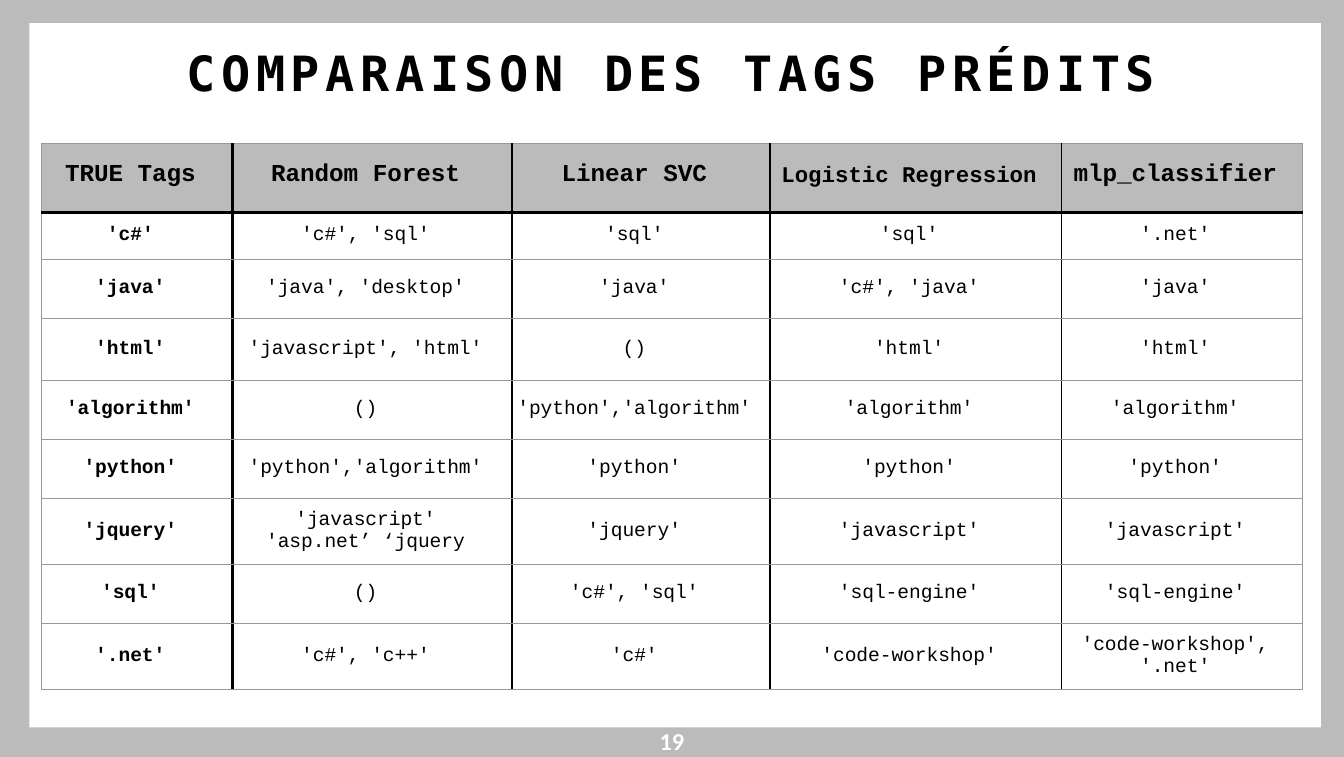
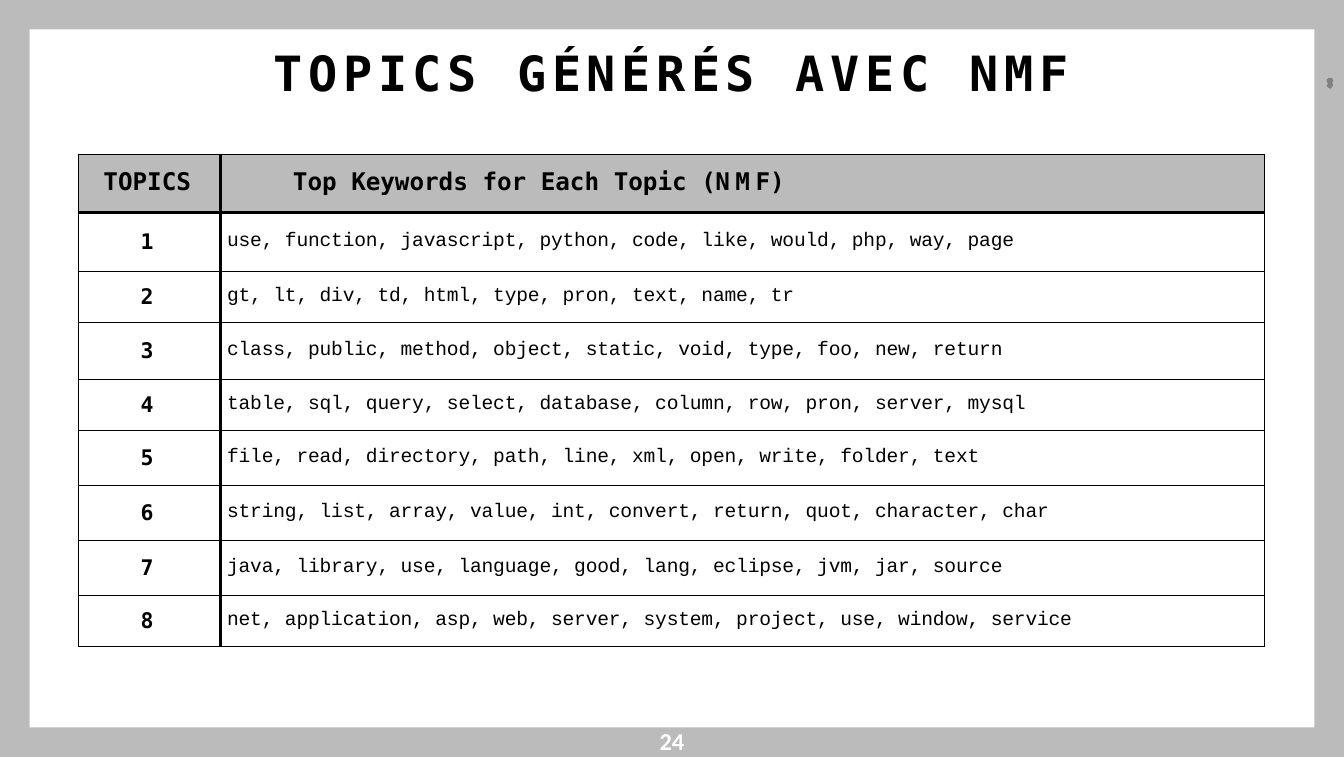
import pptx
import pptx.util
import pptx.dml.color
import pptx.enum.text
import pptx.oxml
import pptx.oxml.ns

Inches, Pt = pptx.util.Inches, pptx.util.Pt
RGB = pptx.dml.color.RGBColor.from_string
ALIGN = pptx.enum.text.PP_ALIGN
MIDDLE = pptx.enum.text.MSO_ANCHOR.MIDDLE

COLORS = {"band": "BBBBBB", "black": "000000", "white": "FFFFFF",
          "grid": "999999", "dots": "808080"}
MONO, COURIER, SANS = "DejaVu Sans Mono", "Courier New", "Calibri"
W, H = 10, 5.63
BAND = (0.22, 0.17, 9.83, 5.41)
INNER_BAND = (0.22, 0.22, 9.78, 5.43)
DOTS = [(9.92, 0.6), (9.91, 0.58), (9.89, 0.58), (9.87, 0.59), (9.87, 0.6),
        (9.88, 0.62), (9.87, 0.64), (9.88, 0.65), (9.9, 0.66), (9.91, 0.65),
        (9.92, 0.63), (9.91, 0.62)]

TAGS_TITLE = "COMPARAISON DES TAGS PRÉDITS"
TAGS = [
    ["TRUE Tags", "Random Forest", "Linear SVC", "Logistic Regression", "mlp_classifier"],
    ["'c#'", "'c#', 'sql'", "'sql'", "'sql'", "'.net'"],
    ["'java'", "'java', 'desktop'", "'java'", "'c#', 'java'", "'java'"],
    ["'html'", "'javascript', 'html'", "()", "'html'", "'html'"],
    ["'algorithm'", "()", "'python','algorithm'", "'algorithm'", "'algorithm'"],
    ["'python'", "'python','algorithm'", "'python'", "'python'", "'python'"],
    ["'jquery'", "'javascript'\n'asp.net’ ‘jquery", "'jquery'", "'javascript'", "'javascript'"],
    ["'sql'", "()", "'c#', 'sql'", "'sql-engine'", "'sql-engine'"],
    ["'.net'", "'c#', 'c++'", "'c#'", "'code-workshop'", "'code-workshop',\n'.net'"],
]
TAG_COLS = [1.42, 2.08, 1.92, 2.17, 1.79]
TAG_ROWS = [0.51, 0.35, 0.44, 0.46, 0.44, 0.44, 0.49, 0.44, 0.49]

TOPICS_TITLE = "TOPICS GÉNÉRÉS AVEC NMF"
KEYWORDS = [
    "use, function, javascript, python, code, like, would, php, way, page",
    "gt, lt, div, td, html, type, pron, text, name, tr",
    "class, public, method, object, static, void, type, foo, new, return",
    "table, sql, query, select, database, column, row, pron, server, mysql",
    "file, read, directory, path, line, xml, open, write, folder, text",
    "string, list, array, value, int, convert, return, quot, character, char",
    "java, library, use, language, good, lang, eclipse, jvm, jar, source",
    "net, application, asp, web, server, system, project, use, window, service",
]
TOPICS = [["TOPICS", [("Top Keywords for Each Topic (", 0), ("NM", 3), ("F)", 0)]]]
TOPICS += [[str(n), words] for n, words in enumerate(KEYWORDS, 1)]
TOPIC_COLS = [1.06, 7.77]
TOPIC_ROWS = [0.43, 0.44, 0.38, 0.42, 0.38, 0.41, 0.41, 0.41, 0.38]


def write(tf, text, size=10.5, font=COURIER, color="black", bold=False,
          align=ALIGN.CENTER, spacing=None, spc=0):
    lines = [[(t, spc)] for t in text.split("\n")] if isinstance(text, str) else [text]
    for i, runs in enumerate(lines):
        p = tf.add_paragraph() if i else tf.paragraphs[0]
        p.alignment = align
        if spacing:
            p.line_spacing = Pt(spacing)
        for part, gap in runs:
            r = p.add_run()
            r.text = part
            r.font.size, r.font.name, r.font.bold = Pt(size), font, bold
            r.font.color.rgb = RGB(COLORS[color])
            if gap:
                r.font._element.set("spc", str(round(gap * 100)))


def add_label(slide, text, left, top, width, height, margin_top=0, **fmt):
    tf = slide.shapes.add_textbox(*map(Inches, (left, top, width, height))).text_frame
    tf.word_wrap = True
    tf.margin_left = tf.margin_right = tf.margin_bottom = 0
    tf.margin_top = Inches(margin_top)
    write(tf, text, **fmt)


def add_outline(slide, points, color):
    pts = [(Inches(x), Inches(y)) for x, y in points]
    fb = slide.shapes.build_freeform(*pts[0], scale=1.0)
    fb.add_line_segments(pts[1:], close=True)
    sp = fb.convert_to_shape()
    sp.shadow.inherit = False
    sp.fill.solid()
    sp.fill.fore_color.rgb = RGB(COLORS[color])
    sp.line.fill.background()


def add_frame(slide, l, t, r, b):
    add_outline(slide, [(0, 0), (W, 0), (W, H), (0, H), (0, 0),
                        (l, t), (l, b), (r, b), (r, t), (l, t)], "band")


def set_borders(cell, **sides):
    tcPr = cell._tc.get_or_add_tcPr()
    for side in "LRTB":
        color, width = sides[side]
        tcPr.append(pptx.oxml.parse_xml(
            f'<a:ln{side} {pptx.oxml.ns.nsdecls("a")} w="{Pt(width)}"><a:solidFill>'
            f'<a:srgbClr val="{COLORS[color]}"/></a:solidFill></a:ln{side}>'))


def add_grid(slide, left, top, cols, rows, data, thin, style):
    heavy, inner = ("black", 2.25), ("black", 0.75)
    across = [thin, heavy] + [thin] * (len(rows) - 1)
    down = [thin, heavy] + [inner] * (len(cols) - 2) + [thin]
    table = slide.shapes.add_table(
        len(rows), len(cols), *map(Inches, (left, top, sum(cols), sum(rows)))).table
    table.first_row = table.horz_banding = False
    for col, width in zip(table.columns, cols):
        col.width = Inches(width)
    for row, height in zip(table.rows, rows):
        row.height = Inches(height)
    for i, line in enumerate(data):
        for j, text in enumerate(line):
            cell = table.cell(i, j)
            fmt = style(i, j)
            cell.margin_top = cell.margin_bottom = 0
            cell.margin_left = Inches(fmt.pop("indent", 0))
            cell.margin_right = Inches(fmt.pop("right", 0))
            cell.vertical_anchor = MIDDLE
            set_borders(cell, L=down[j], R=down[j + 1], T=across[i], B=across[i + 1])
            if i == 0:
                cell.fill.solid()
                cell.fill.fore_color.rgb = RGB(COLORS["band"])
            else:
                cell.fill.background()
            write(cell.text_frame, text, **fmt)


def tag_style(i, j):
    size = 10.5 if i else 12 if j == 3 else 13
    return dict(size=size, bold=i == 0 or j == 0, spacing=11.4, right=0.1)


def topic_style(i, j):
    if i and j:
        return dict(align=ALIGN.LEFT, spacing=11.4, spc=-0.05, indent=0.05)
    fmt = dict(size=11.5 if i else 13, font=MONO, bold=True, spacing=13.6)
    return fmt | (dict(align=ALIGN.LEFT, indent=0.54) if j else dict(right=0.03))


def add_page(prs):
    slide = prs.slides.add_slide(prs.slide_layouts[6])
    add_frame(slide, *BAND)
    return slide


def add_texts(slide, title, number):
    add_label(slide, number, 3.85, 5.4, 2.3, 0.22,
              size=13, font=SANS, color="white", bold=True)
    add_label(slide, title, 0, 0.3, W, 0.45, margin_top=0.02,
              size=26, font=MONO, bold=True, spc=3)


def main():
    prs = pptx.Presentation()
    prs.slide_width, prs.slide_height = Inches(W), Inches(H)

    slide = add_page(prs)
    add_grid(slide, 0.31, 1.07, TAG_COLS, TAG_ROWS, TAGS, ("grid", 0.5), tag_style)
    add_texts(slide, TAGS_TITLE, "19")

    slide = add_page(prs)
    add_frame(slide, *INNER_BAND)
    add_grid(slide, 0.58, 1.15, TOPIC_COLS, TOPIC_ROWS, TOPICS, ("black", 0.5), topic_style)
    add_outline(slide, DOTS, "dots")
    add_texts(slide, TOPICS_TITLE, "24")

    prs.save("out.pptx")


if __name__ == "__main__":
    main()
